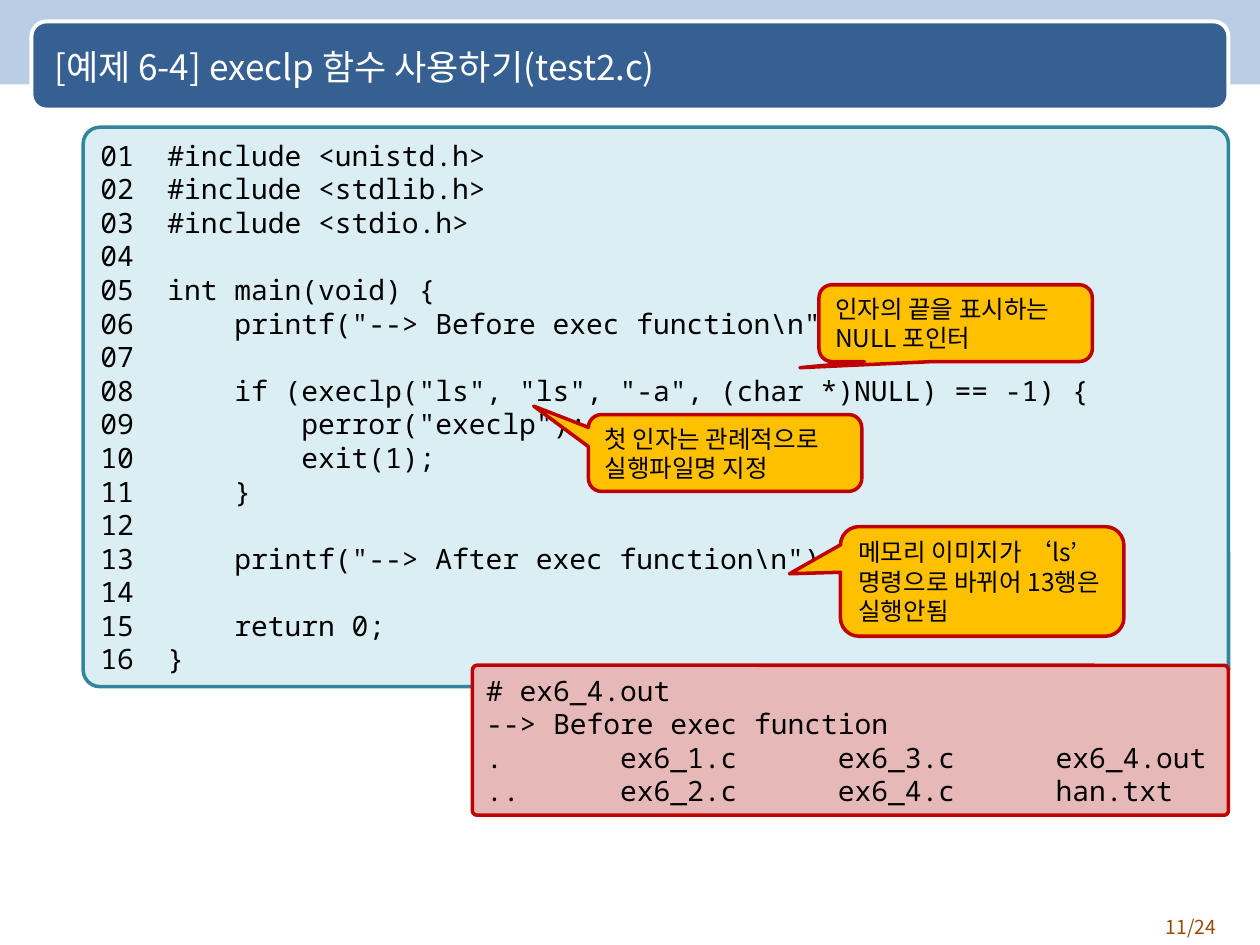
from lxml.etree import SubElement
from pptx import Presentation
from pptx.dml.color import RGBColor
from pptx.enum.shapes import MSO_SHAPE
from pptx.enum.text import MSO_ANCHOR, MSO_AUTO_SIZE, PP_ALIGN
from pptx.oxml.ns import qn
from pptx.util import Inches, Pt

SANS = "Noto Sans CJK KR"
MONO = "Noto Sans Mono"
TITLE = "[예제 6-4] execlp 함수 사용하기(test2.c)"
PAGE_NUMBER = "11/24"

CODE = r"""#include <unistd.h>
#include <stdlib.h>
#include <stdio.h>

int main(void) {
    printf("--> Before exec function\n");

    if (execlp("ls", "ls", "-a", (char *)NULL) == -1) {
        perror("execlp");
        exit(1);
    }

    printf("--> After exec function\n");

    return 0;
}""".split("\n")

OUTPUT = [
    "# ex6_4.out",
    "--> Before exec function",
    ".       ex6_1.c      ex6_3.c      ex6_4.out",
    "..      ex6_2.c      ex6_4.c      han.txt",
]

CALLOUTS = [
    ("첫 인자는 관례적으로 실행파일명 지정", (4.67, 3.29, 2.17, 0.61), (-0.7, -0.61)),
    ("메모리 이미지가 ‘ls’ 명령으로 바뀌어 13행은 실행안됨", (6.67, 4.18, 2.25, 0.87), (-0.68, -0.07)),
    ("인자의 끝을 표시하는 NULL 포인터", (6.5, 2.26, 2.17, 0.61), (-0.57, 0.58)),
]


def color(value):
    return RGBColor.from_string(value)


def write(shape, lines, size, font_name, font_color, align=PP_ALIGN.LEFT):
    frame = shape.text_frame
    frame.word_wrap = True
    frame.vertical_anchor = MSO_ANCHOR.MIDDLE
    frame.text = "\n".join(lines)
    for paragraph in frame.paragraphs:
        paragraph.alignment = align
        font = paragraph.font
        font.size = Pt(size)
        font.name = font_name
        font.color.rgb = color(font_color)
        properties = paragraph._p.pPr.find(qn("a:defRPr"))
        SubElement(properties, qn("a:ea")).set("typeface", font_name)


def add_box(slide, kind, box, fill, line=None, width=2, adjustments=()):
    shape = slide.shapes.add_shape(kind, *map(Inches, box))
    shape.shadow.inherit = False
    shape.fill.solid()
    shape.fill.fore_color.rgb = color(fill)
    if line:
        shape.line.color.rgb = color(line)
        shape.line.width = Pt(width)
    else:
        shape.line.fill.background()
    for index, value in enumerate(adjustments):
        shape.adjustments[index] = value
    return shape


def add_listing(slide, lines, box, fill, line):
    shape = add_box(slide, MSO_SHAPE.ROUNDED_RECTANGLE, box, fill, line, adjustments=(0.03,))
    write(shape, lines, 16, MONO, "000000", PP_ALIGN.JUSTIFY)
    shape.text_frame.auto_size = MSO_AUTO_SIZE.SHAPE_TO_FIT_TEXT


def add_callout(slide, text, box, tip):
    shape = add_box(slide, MSO_SHAPE.ROUNDED_RECTANGULAR_CALLOUT, box, "FFC000", "C00000",
                    adjustments=(*tip, 0.17))
    write(shape, [text], 14, SANS, "000000")
    shape.text_frame.auto_size = MSO_AUTO_SIZE.SHAPE_TO_FIT_TEXT


def add_header(slide):
    add_box(slide, MSO_SHAPE.RECTANGLE, (-0.01, 0, 10.02, 0.67), "B9CDE5")
    panel = add_box(slide, MSO_SHAPE.ROUNDED_RECTANGLE, (0.25, 0.17, 9.5, 0.7),
                    "376092", "FFFFFF", 2.25, (0.17,))
    title = slide.shapes.title
    title.left, title.top, title.width, title.height = map(Inches, (0.33, 0.19, 9.25, 0.67))
    write(title, [TITLE], 20, SANS, "FFFFFF")
    panel.element.addnext(title.element)


def main():
    presentation = Presentation()
    presentation.slide_width, presentation.slide_height = Inches(10), Inches(7.5)
    slide = presentation.slides.add_slide(presentation.slide_layouts[5])

    add_header(slide)
    page = slide.shapes.add_textbox(*map(Inches, (8.92, 7.21, 0.83, 0.29)))
    write(page, [PAGE_NUMBER], 11, SANS, "984807", PP_ALIGN.RIGHT)

    numbered = [f"{number:02d}  {line}" for number, line in enumerate(CODE, 1)]
    add_listing(slide, numbered, (0.66, 1.01, 9.09, 4.44), "DBEEF4", "31859C")
    add_listing(slide, OUTPUT, (3.75, 5.28, 6, 1.19), "E6B9B8", "C00000")
    for text, box, tip in CALLOUTS:
        add_callout(slide, text, box, tip)

    presentation.save("out.pptx")


if __name__ == "__main__":
    main()
